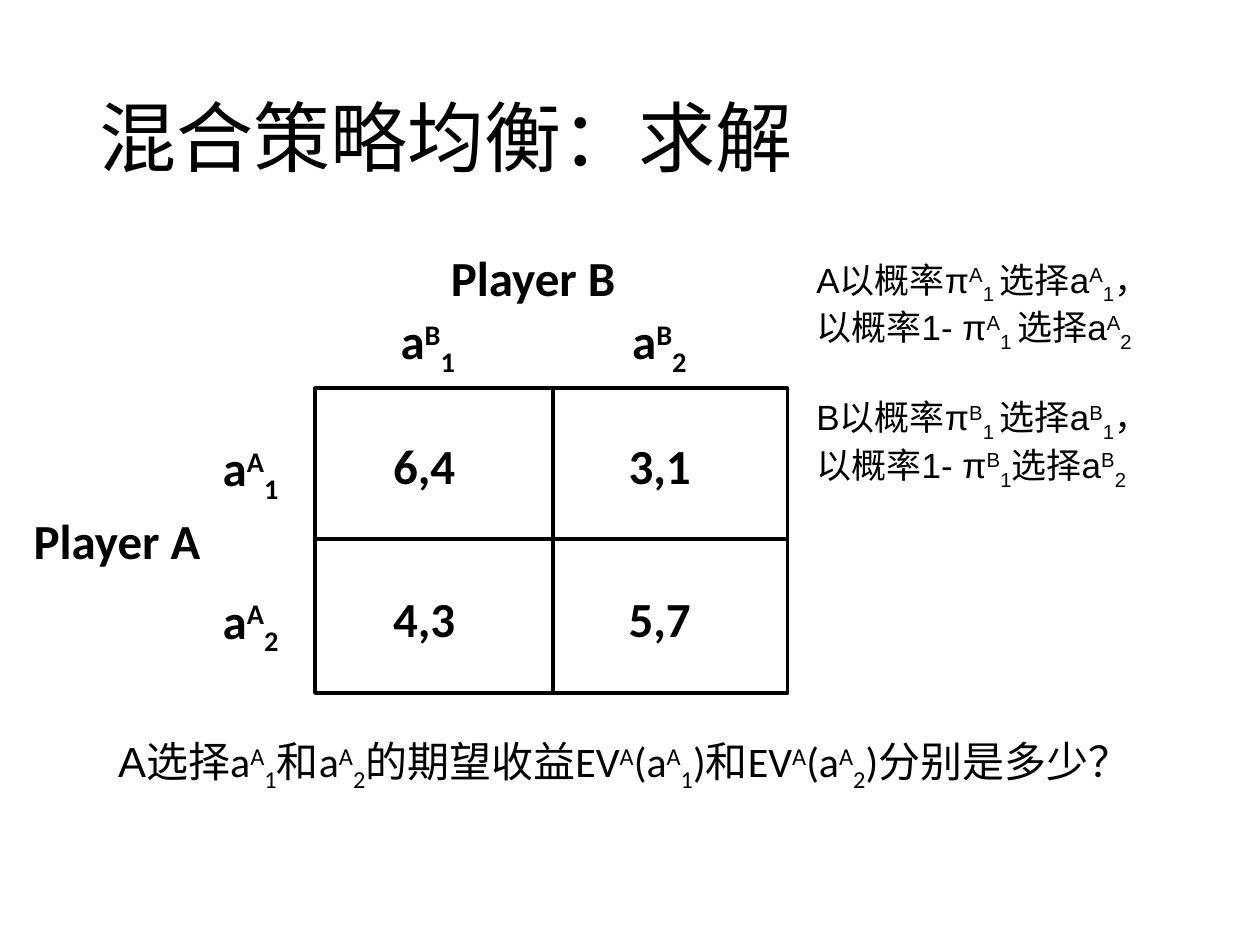
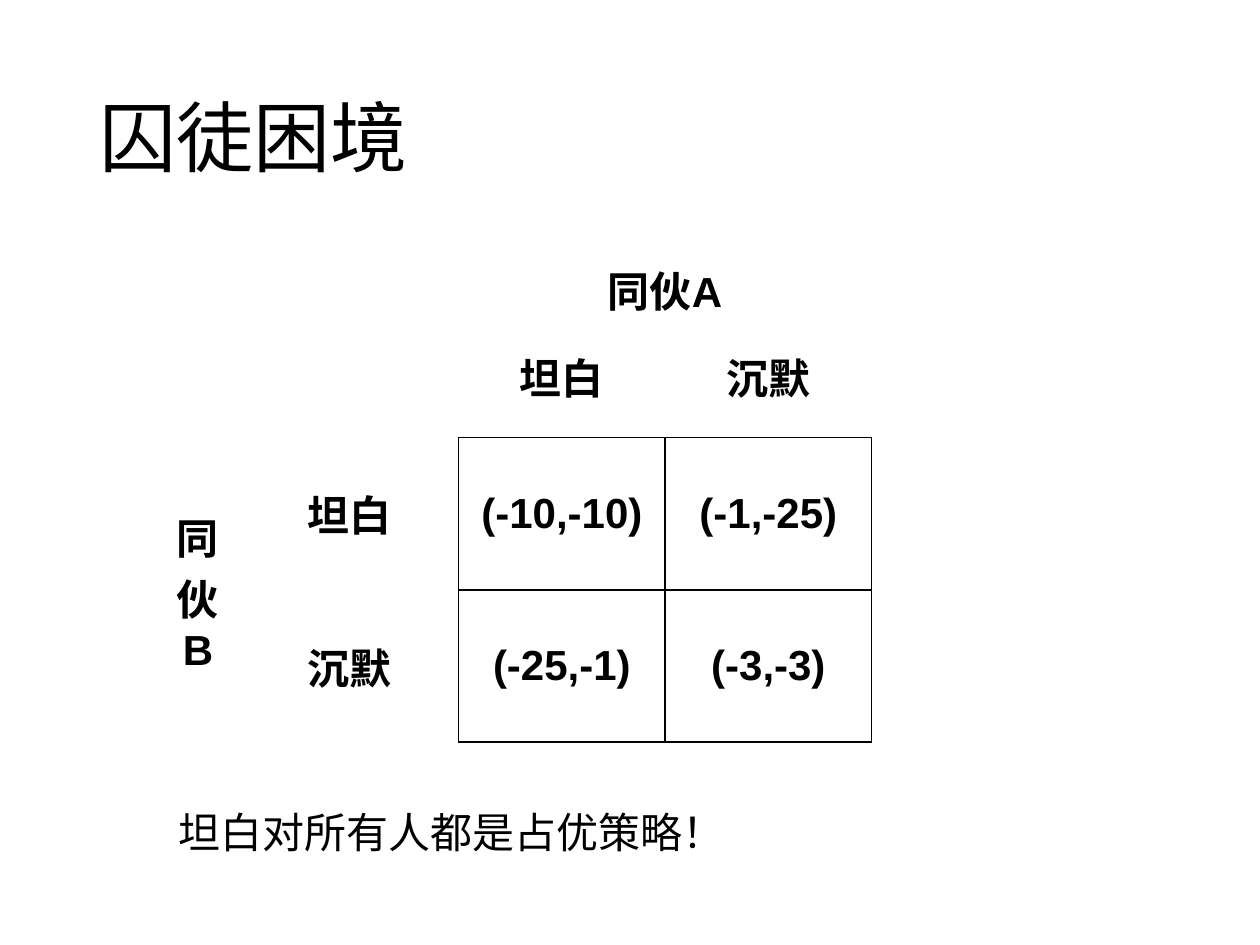
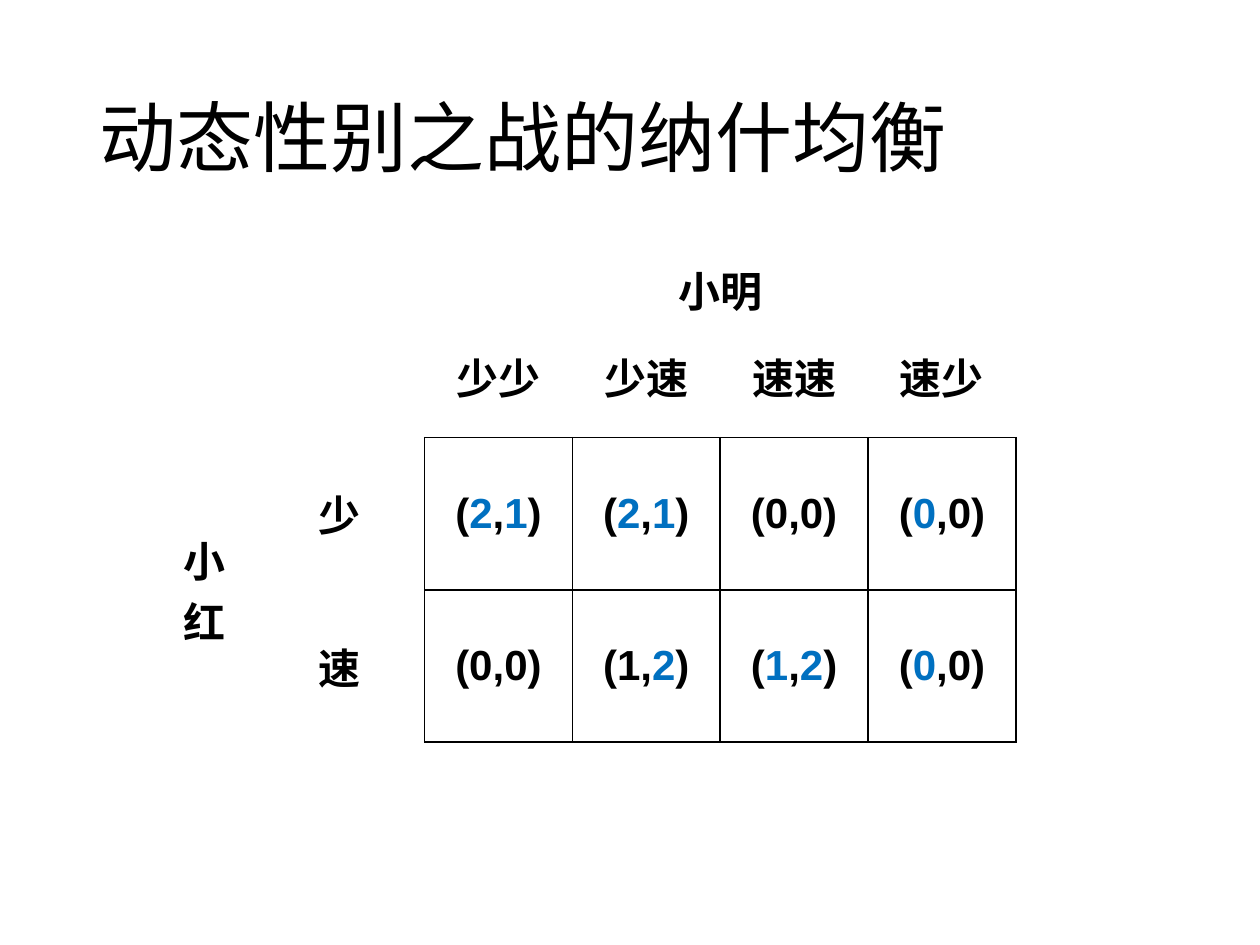
from dataclasses import dataclass
from itertools import groupby

from lxml import etree
from pptx import Presentation
from pptx.dml.color import RGBColor
from pptx.enum import shapes, text
from pptx.oxml import ns
from pptx.util import Pt

BLACK = "000000"
BLUE = "0070C0"
HEADING_FONT = "Calibri"
BODY_FONT = "Arial"
NO_TABLE_STYLE = "{2D5ABB26-0587-4C30-8999-92F81FD0307C}"
BASELINES = {"^": "30000", "_": "-25000"}
ROW_HEIGHTS = (17.3, 70, 87, 87)
TABLE_LEFT, TABLE_TOP = 88.6, 144
FIRST_PAYOFF = 2


@dataclass
class Label:
    content: str
    left: float
    top: float
    width: float
    height: float = 41
    size: float = 28
    bold: bool = True
    font: str = HEADING_FONT


@dataclass
class Game:
    column_player: str
    row_player: str
    column_moves: list[str]
    row_moves: list[str]
    payoffs: list[list[str]]
    label_widths: tuple[float, float]
    payoff_width: float


def colour(value):
    return RGBColor.from_string(value)


def style_font(font, name, size, bold):
    font.name = name
    font.size = Pt(size)
    font.bold = bold
    font.color.rgb = colour(BLACK)


def add_runs(paragraph, content, font=None):
    """^x raises x, _x lowers x, *x makes x blue."""
    characters = iter(content)
    marked = [
        (mark, next(characters)) if mark in "^_*" else ("", mark)
        for mark in characters
    ]
    for mark, group in groupby(marked, key=lambda pair: pair[0]):
        run = paragraph.add_run()
        run.text = "".join(character for _, character in group)
        if font:
            run.font.name = font
        if mark in BASELINES:
            run.font._element.set("baseline", BASELINES[mark])
        elif mark == "*":
            run.font.color.rgb = colour(BLUE)


def add_label(slide, label: Label):
    shape = slide.shapes.add_textbox(
        Pt(label.left), Pt(label.top), Pt(label.width), Pt(label.height))
    frame = shape.text_frame
    frame.word_wrap = True
    paragraph = frame.paragraphs[0]
    style_font(paragraph.font, label.font, label.size, label.bold)
    add_runs(paragraph, label.content)
    return frame


def add_titled_slide(presentation, title: str):
    slide = presentation.slides.add_slide(presentation.slide_layouts[6])
    frame = add_label(slide, Label(title, 49.7, 28.8, 620.6, 104.4, 44, False))
    frame.vertical_anchor = text.MSO_ANCHOR.MIDDLE
    frame.paragraphs[0].line_spacing = 0.9
    return slide


def add_divider(slide, start: tuple[float, float], end: tuple[float, float]):
    line = slide.shapes.add_connector(
        shapes.MSO_CONNECTOR.STRAIGHT, *map(Pt, start + end))
    line.line.color.rgb = colour(BLACK)
    line.line.width = Pt(2.25)
    etree.SubElement(line._element.spPr, ns.qn("a:effectLst"))


def add_payoff_matrix(slide):
    left, top, width, height = 180, 221.8, 270, 174.2
    middle_x, middle_y = 316, 308.2
    frame = slide.shapes.add_shape(
        shapes.MSO_SHAPE.RECTANGLE, Pt(left), Pt(top), Pt(width), Pt(height))
    frame.shadow.inherit = False
    frame.fill.background()
    frame.line.color.rgb = colour(BLACK)
    frame.line.width = Pt(2)
    add_divider(slide, (middle_x, top), (middle_x, top + height))
    add_divider(slide, (left, middle_y), (left + width, middle_y))

    payoffs = [["6,4", "3,1"], ["4,3", "5,7"]]
    for row, values in enumerate(payoffs):
        y = 245.5 + 87 * row
        add_label(slide, Label(f"a^A_{row + 1}", 120.2, y + 1.2, 56))
        for column, value in enumerate(values):
            add_label(slide, Label(value, 217.5 + 134.6 * column, y, 59))
    for column in range(2):
        add_label(slide, Label(f"a^B_{column + 1}", 221.8 + 132.4 * column, 174.2, 56))
    add_label(slide, Label("Player B", 250.6, 138.2, 130))
    add_label(slide, Label("Player A", 12.2, 288, 130))


def add_mixed_strategy_slide(presentation):
    slide = add_titled_slide(presentation, "混合策略均衡：求解")
    add_payoff_matrix(slide)

    strategies = add_label(slide, Label(
        "A以概率π^A_1_ 选择a^A_1，以概率1- π^A_1_ 选择a^A_2",
        459.4, 144, 211.7, 128, 20, False, BODY_FONT))
    paragraph = strategies.add_paragraph()
    paragraph.space_before = Pt(24)
    style_font(paragraph.font, BODY_FONT, 20, False)
    add_runs(paragraph, "B以概率π^B_1_ 选择a^B_1，以概率1- π^B_1选择a^B_2")

    question = add_label(slide, Label("", 60.5, 416.9, 607, 36, 24, False))
    segments = ["A选择", "a^A_1", "和", "a^A_2", "的期望收益",
                "EV^A(a^A_1)", "和", "EV^A(a^A_2)", "分别是多少？"]
    for index, segment in enumerate(segments):
        add_runs(question.paragraphs[0], segment, None if index % 2 else BODY_FONT)


def add_borders(cell):
    properties = cell._tc.get_or_add_tcPr()
    for side in ("lnL", "lnR", "lnT", "lnB"):
        line = etree.SubElement(properties, ns.qn(f"a:{side}"), w=str(Pt(1)))
        fill = etree.SubElement(line, ns.qn("a:solidFill"))
        etree.SubElement(fill, ns.qn("a:srgbClr"), val=BLACK)


def fill_cell(cell, content: str):
    cell.vertical_anchor = text.MSO_ANCHOR.MIDDLE
    paragraph = cell.text_frame.paragraphs[0]
    paragraph.alignment = text.PP_ALIGN.CENTER
    style_font(paragraph.font, BODY_FONT, 24, True)
    add_runs(paragraph, content)


def add_game_table(slide, game: Game):
    widths = [*game.label_widths, *[game.payoff_width] * len(game.column_moves)]
    table = slide.shapes.add_table(
        len(ROW_HEIGHTS), len(widths), Pt(TABLE_LEFT), Pt(TABLE_TOP),
        Pt(sum(widths)), Pt(sum(ROW_HEIGHTS))).table
    table.first_row = table.horz_banding = False
    table._tbl.tblPr.find(ns.qn("a:tableStyleId")).text = NO_TABLE_STYLE
    for column, width in zip(table.columns, widths):
        column.width = Pt(width)
    for row, height in zip(table.rows, ROW_HEIGHTS):
        row.height = Pt(height)

    contents = [
        ["", "", game.column_player],
        ["", "", *game.column_moves],
        [game.row_player, game.row_moves[0], *game.payoffs[0]],
        ["", game.row_moves[1], *game.payoffs[1]],
    ]
    for row, values in enumerate(contents):
        for column, value in enumerate(values):
            cell = table.cell(row, column)
            if row >= FIRST_PAYOFF and column >= FIRST_PAYOFF:
                add_borders(cell)
            if value:
                fill_cell(cell, value)
    for cell in table.iter_cells():
        cell.fill.background()
    table.cell(0, FIRST_PAYOFF).merge(table.cell(0, len(widths) - 1))
    table.cell(FIRST_PAYOFF, 0).merge(table.cell(len(ROW_HEIGHTS) - 1, 0))


def add_prisoner_slide(presentation):
    slide = add_titled_slide(presentation, "囚徒困境")
    moves = ["坦白", "沉默"]
    add_game_table(slide, Game(
        "同伙A", "同伙B", moves, moves,
        [["(-10,-10)", "(-1,-25)"], ["(-25,-1)", "(-3,-3)"]],
        (49, 124.5), 118))
    add_label(slide, Label(
        "坦白对所有人都是占优策略！", 95, 457.2, 330, 36, 24, False))


def add_dynamic_battle_slide(presentation):
    slide = add_titled_slide(presentation, "动态性别之战的纳什均衡")
    add_game_table(slide, Game(
        "小明", "小红", ["少少", "少速", "速速", "速少"], ["少", "速"],
        [["(*2,*1)", "(*2,*1)", "(0,0)", "(*0,0)"],
         ["(0,0)", "(1,*2)", "(*1,*2)", "(*0,0)"]],
        (56.5, 97.5), 84.5))


def main():
    presentation = Presentation()
    presentation.slide_width = Pt(720)
    presentation.slide_height = Pt(540)
    add_mixed_strategy_slide(presentation)
    add_prisoner_slide(presentation)
    add_dynamic_battle_slide(presentation)
    presentation.save("out.pptx")


if __name__ == "__main__":
    main()
